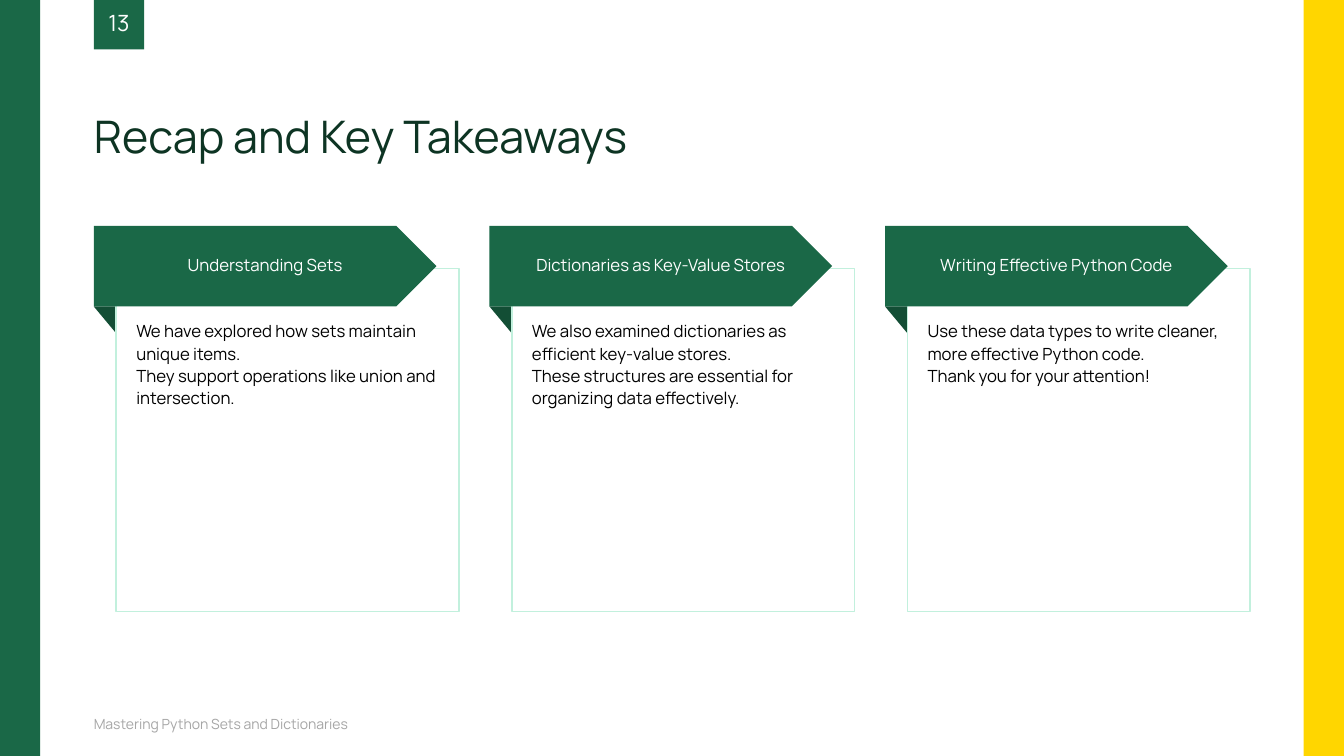
from pptx import Presentation
from pptx.dml.color import RGBColor
from pptx.enum.shapes import MSO_SHAPE
from pptx.enum.text import MSO_ANCHOR, PP_ALIGN
from pptx.util import Pt

RECT, ARROW, TRIANGLE = MSO_SHAPE.RECTANGLE, MSO_SHAPE.PENTAGON, MSO_SHAPE.RIGHT_TRIANGLE
LEFT, CENTER = PP_ALIGN.LEFT, PP_ALIGN.CENTER
TOP, MIDDLE, BOTTOM = MSO_ANCHOR.TOP, MSO_ANCHOR.MIDDLE, MSO_ANCHOR.BOTTOM

GREEN = RGBColor(0x1A, 0x68, 0x47)
FOLD_GREEN = RGBColor(0x13, 0x4E, 0x35)
TITLE_GREEN = RGBColor(0x0D, 0x34, 0x23)
MINT = RGBColor(0xC2, 0xF0, 0xDD)
YELLOW = RGBColor(0xFF, 0xD6, 0x00)
GREY = RGBColor(0xA6, 0xA6, 0xA6)
WHITE = RGBColor(0xFF, 0xFF, 0xFF)
BLACK = RGBColor(0x00, 0x00, 0x00)

WIDTH, HEIGHT = 960, 540
MARGIN = 67
BAND = 28.8
COLUMN_STEP = 282.6
CARD = 244.8
ARROW_TOP, ARROW_HEIGHT = 161.3, 57.6
FOLD_WIDTH, FOLD_HEIGHT = 16, 19.2
CARD_TOP = 192

COLUMNS = [
    ("Understanding Sets",
     ["We have explored how sets maintain unique items.",
      "They support operations like union and intersection."]),
    ("Dictionaries as Key-Value Stores",
     ["We also examined dictionaries as efficient key-value stores.",
      "These structures are essential for organizing data effectively."]),
    ("Writing Effective Python Code",
     ["Use these data types to write cleaner, more effective Python code.",
      "Thank you for your attention!"]),
]

prs = Presentation()
prs.slide_width, prs.slide_height = Pt(WIDTH), Pt(HEIGHT)
s = prs.slides.add_slide(prs.slide_layouts[5])


def add_block(kind, x, y, w, h, fill, line=None):
    sp = s.shapes.add_shape(kind, Pt(x), Pt(y), Pt(w), Pt(h))
    sp.shadow.inherit = False
    sp.fill.solid()
    sp.fill.fore_color.rgb = fill
    if line is None:
        sp.line.fill.background()
    else:
        sp.line.color.rgb = line
        sp.line.width = Pt(1)
    return sp


def write(sp, *lines, size=12, color=WHITE, align=LEFT, anchor=MIDDLE,
          spacing=0.9, before=0, insets=(0, 0, 0, 0)):
    """Fill a shape with one paragraph per line; insets are left, top, right, bottom."""
    tf = sp.text_frame
    tf.word_wrap = True
    tf.vertical_anchor = anchor
    tf.margin_left, tf.margin_top, tf.margin_right, tf.margin_bottom = map(Pt, insets)
    for i, text in enumerate(lines):
        p = tf.add_paragraph() if i else tf.paragraphs[0]
        p.alignment, p.line_spacing, p.space_before = align, spacing, Pt(before)
        r = p.add_run()
        r.text = text
        r.font.name, r.font.size = "Manrope", Pt(size)
        r.font.color.rgb = color


# Side bands, footer and title
add_block(RECT, 0, 0, BAND, HEIGHT, GREEN)
add_block(RECT, WIDTH - BAND, 0, BAND, HEIGHT, YELLOW)

footer = s.shapes.add_textbox(Pt(MARGIN), Pt(511), Pt(474), Pt(14.4))
write(footer, "Mastering Python Sets and Dictionaries", size=10, color=GREY, before=10)

title = s.shapes.title
title.left, title.top, title.width, title.height = Pt(MARGIN), Pt(0), Pt(826), Pt(116.6)
write(title, "Recap and Key Takeaways", size=32, color=TITLE_GREEN, anchor=BOTTOM, before=10)

page = add_block(RECT, MARGIN, 0, 36, 35.3, GREEN)
write(page, "13", size=16, align=CENTER, before=10)

# Three cards, each with a folded arrow heading
for i, (heading, lines) in enumerate(COLUMNS):
    x = MARGIN + i * COLUMN_STEP

    fold = add_block(TRIANGLE, x, ARROW_TOP + ARROW_HEIGHT, FOLD_WIDTH, FOLD_HEIGHT, FOLD_GREEN)
    fold.rotation = 180

    card = add_block(RECT, x + FOLD_WIDTH, CARD_TOP, CARD, CARD, WHITE, line=MINT)
    write(card, *lines, color=BLACK, anchor=TOP, spacing=1.1, insets=(14.4, 36, 14.4, 0))

    arrow = add_block(ARROW, x, ARROW_TOP, CARD, ARROW_HEIGHT, GREEN)
    # The left inset balances the arrow tip, so the heading is centred on the whole shape
    write(arrow, heading, align=CENTER, insets=(14.4, 0, 0, 0))

prs.save("out.pptx")
